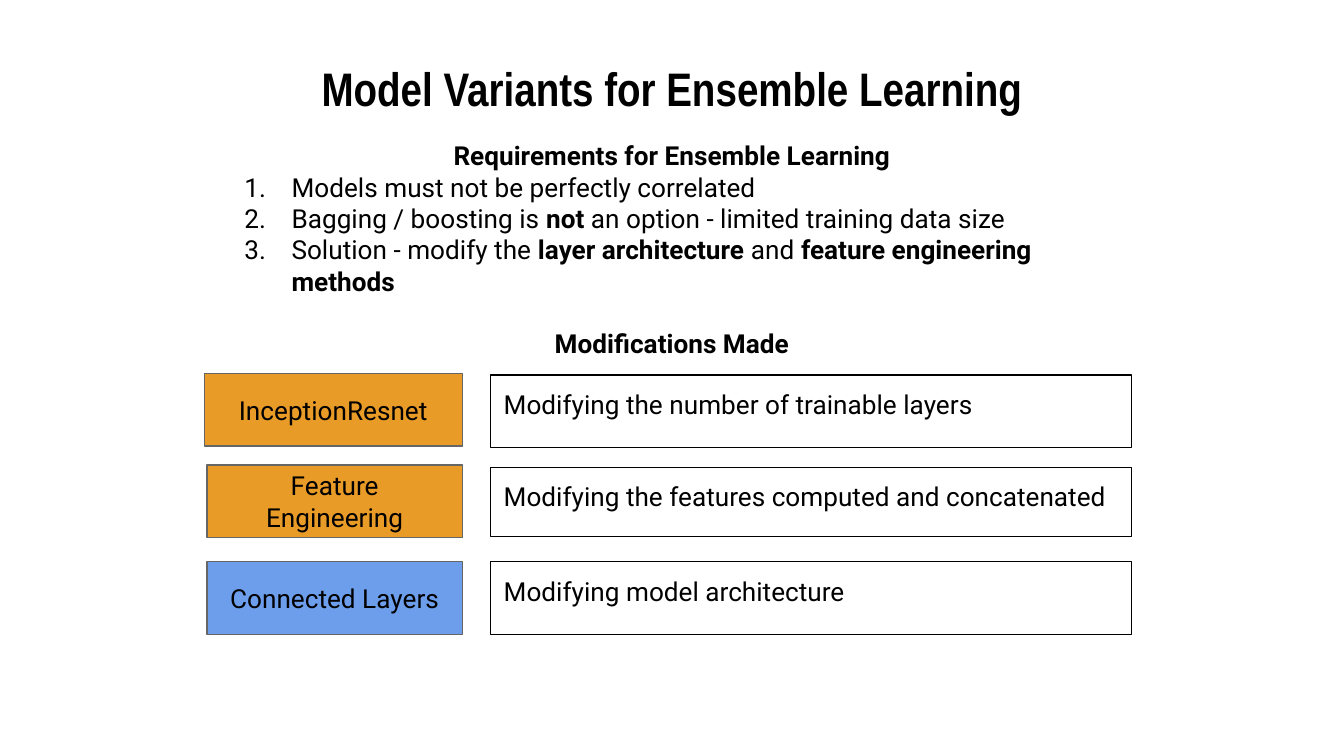
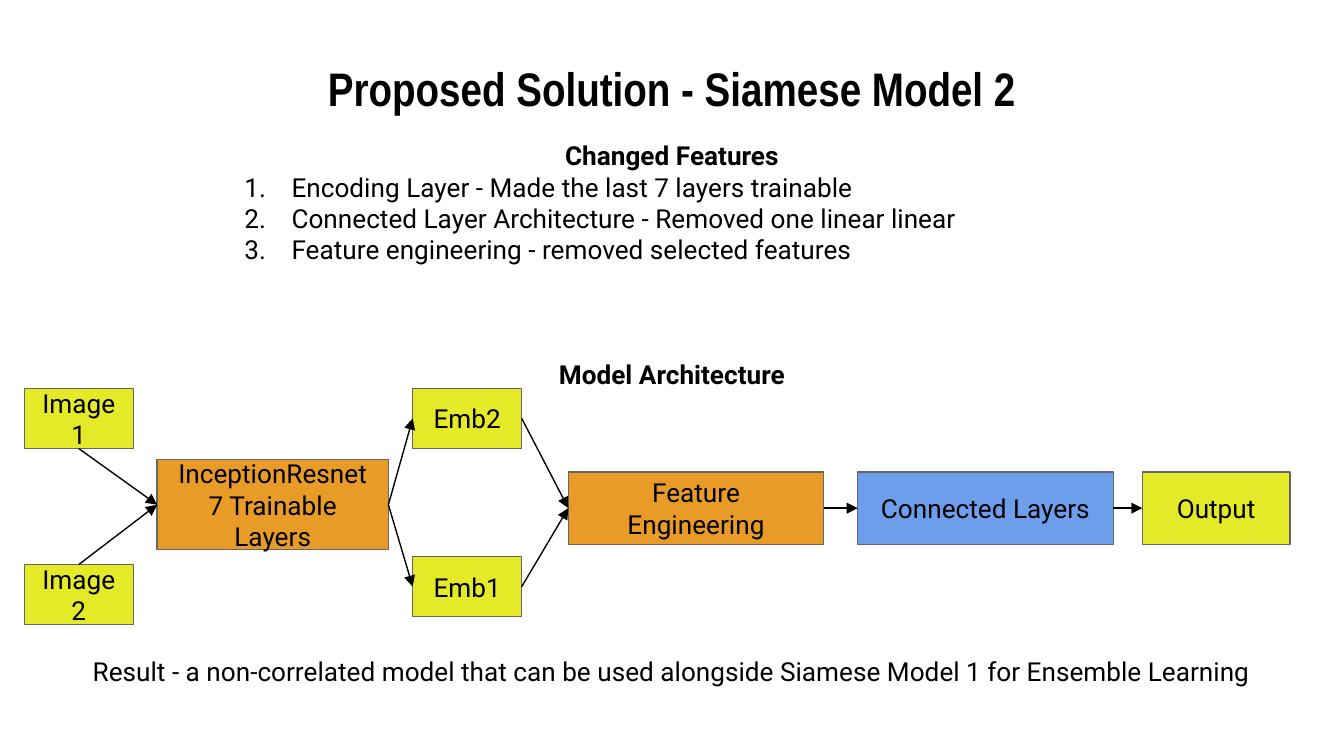
from lxml.etree import SubElement
from pptx import Presentation
from pptx.dml.color import RGBColor
from pptx.enum.shapes import MSO_CONNECTOR, MSO_SHAPE
from pptx.enum.text import MSO_ANCHOR, MSO_AUTO_SIZE, PP_ALIGN
from pptx.oxml.ns import qn
from pptx.util import Cm, Pt

# Shared style
BLACK, GREY = "000000", "666666"
ORANGE, BLUE, YELLOW = "E99B27", "6D9EEB", "E4EA27"
TITLE_FONT, TEXT_FONT = "Arial Narrow", "Roboto"
TITLE_SIZE, TEXT_SIZE = 25.2, 14
TITLE_BOX = (1.27, 1.14, 22.86, 1.04)
LIST_BOX = (3.99, 2.39, 17.42, 4.17)
TOP, LEFT, BOTTOM, RIGHT = range(4)  # connection sites of a rectangle


def color(hex_string):
    return RGBColor.from_string(hex_string)


def place(shape, box):
    shape.left, shape.top, shape.width, shape.height = map(Cm, box)


def prepare_frame(shape, anchor):
    frame = shape.text_frame
    frame.word_wrap = True
    frame.auto_size = MSO_AUTO_SIZE.NONE
    frame.vertical_anchor = anchor
    frame.margin_left = frame.margin_right = Cm(0.25)
    frame.margin_top = frame.margin_bottom = Cm(0.25)
    return frame


def style_font(paragraph, name=TEXT_FONT, size=TEXT_SIZE, bold=False):
    font = paragraph.font
    font.name, font.size, font.bold = name, Pt(size), bold
    font.color.rgb = color(BLACK)


def write_lines(shape, text, alignment, anchor):
    frame = prepare_frame(shape, anchor)
    frame.text = text
    for paragraph in frame.paragraphs:
        paragraph.alignment = alignment
        style_font(paragraph)


def add_box(slide, box, text, fill=None, line=GREY,
            alignment=PP_ALIGN.CENTER, anchor=MSO_ANCHOR.MIDDLE):
    shape = slide.shapes.add_shape(MSO_SHAPE.RECTANGLE, *map(Cm, box))
    shape.shadow.inherit = False
    if fill:
        shape.fill.solid()
        shape.fill.fore_color.rgb = color(fill)
    else:
        shape.fill.background()
    shape.line.color.rgb = color(line)
    shape.line.width = Pt(0.75)
    write_lines(shape, text, alignment, anchor)
    return shape


def add_arrow(slide, start, start_site, end, end_site):
    arrow = slide.shapes.add_connector(MSO_CONNECTOR.STRAIGHT, 0, 0, 0, 0)
    arrow.begin_connect(start, start_site)
    arrow.end_connect(end, end_site)
    arrow.line.color.rgb = color(BLACK)
    arrow.line.width = Pt(0.75)
    properties = arrow.element.spPr
    SubElement(properties.find(qn("a:ln")), qn("a:tailEnd"), type="triangle")
    SubElement(properties, qn("a:effectLst"))


def add_title(slide, text):
    title = slide.shapes.title
    place(title, TITLE_BOX)
    frame = prepare_frame(title, MSO_ANCHOR.MIDDLE)
    frame.text = text
    paragraph = frame.paragraphs[0]
    paragraph.alignment = PP_ALIGN.CENTER
    style_font(paragraph, TITLE_FONT, TITLE_SIZE, True)


def format_paragraph(paragraph, numbered, space_before=0):
    paragraph.alignment = PP_ALIGN.LEFT if numbered else PP_ALIGN.CENTER
    paragraph.space_before = Pt(space_before)
    properties = paragraph._p.get_or_add_pPr()
    properties.set("marL", str(Cm(1.27 if numbered else 0)))
    properties.set("indent", str(Cm(-0.89 if numbered else 0)))
    if numbered:
        bullet_color = SubElement(properties, qn("a:buClr"))
        SubElement(bullet_color, qn("a:srgbClr"), val=BLACK)
        SubElement(properties, qn("a:buFont"), typeface=TEXT_FONT)
        SubElement(properties, qn("a:buAutoNum"), type="arabicPeriod")
    else:
        SubElement(properties, qn("a:buNone"))
    style_font(paragraph, bold=not numbered)


def add_list(slide, heading, items, next_heading, gap):
    """Fill the body; text between ** marks is bold."""
    body = slide.placeholders[1]
    place(body, LIST_BOX)
    frame = prepare_frame(body, MSO_ANCHOR.TOP)
    frame.text = heading
    format_paragraph(frame.paragraphs[0], False)
    for item in items:
        paragraph = frame.add_paragraph()
        format_paragraph(paragraph, True)
        for index, part in enumerate(item.split("**")):
            if part:
                run = paragraph.add_run()
                run.text = part
                if index % 2:
                    run.font.bold = True
    paragraph = frame.add_paragraph()
    paragraph.text = next_heading
    format_paragraph(paragraph, False, gap)


def add_modifications(slide, left, top):
    # label, fill, label box, description, description top and height
    rows = [
        ("InceptionResnet", ORANGE, (0, 0, 4.88, 1.37),
         "Modifying the number of trainable layers", 0.03, 1.37),
        ("Feature Engineering", ORANGE, (0.05, 1.73, 4.83, 1.37),
         "Modifying the features computed and concatenated", 1.78, 1.3),
        ("Connected Layers", BLUE, (0.05, 3.56, 4.83, 1.37),
         "Modifying model architecture", 3.56, 1.37),
    ]
    for label, fill, (x, y, width, height), text, text_top, text_height in rows:
        add_box(slide, (left + x, top + y, width, height), label, fill)
        add_box(slide, (left + 5.41, top + text_top, 12.12, text_height), text,
                line=BLACK, alignment=PP_ALIGN.LEFT, anchor=MSO_ANCHOR.TOP)


def add_architecture(slide, left, top):
    def node(text, fill, x, y, width=2.06, height=1.14):
        return add_box(slide, (left + x, top + y, width, height), text, fill)

    # Stages from input to output
    first_image = node("Image 1", YELLOW, 0, 0)
    second_image = node("Image 2", YELLOW, 0, 3.33)
    encoder = node("InceptionResnet\n7 Trainable Layers", ORANGE,
                   2.51, 1.35, 4.37, 1.7)
    embeddings = [node("Emb2", YELLOW, 7.34, 0),
                  node("Emb1", YELLOW, 7.34, 3.18)]
    features = node("Feature Engineering", ORANGE, 10.28, 1.58, 4.83, 1.37)
    layers = node("Connected Layers", BLUE, 15.75, 1.58, 4.83, 1.37)
    output = node("Output", YELLOW, 21.13, 1.58, 2.79, 1.37)

    # Data flow
    add_arrow(slide, first_image, BOTTOM, encoder, LEFT)
    add_arrow(slide, second_image, TOP, encoder, LEFT)
    for embedding in embeddings:
        add_arrow(slide, encoder, RIGHT, embedding, LEFT)
        add_arrow(slide, embedding, RIGHT, features, LEFT)
    add_arrow(slide, features, RIGHT, layers, LEFT)
    add_arrow(slide, layers, RIGHT, output, LEFT)


def add_result(slide, box, text):
    result = slide.shapes.add_textbox(*map(Cm, box))
    write_lines(result, text, PP_ALIGN.CENTER, MSO_ANCHOR.TOP)


def new_slide(presentation, title):
    slide = presentation.slides.add_slide(presentation.slide_layouts[1])
    add_title(slide, title)
    return slide


def build_variants_slide(presentation):
    slide = new_slide(presentation, "Model Variants for Ensemble Learning")
    add_list(slide, "Requirements for Ensemble Learning", [
        "Models must not be perfectly correlated",
        "Bagging / boosting is **not **an option - limited training data size",
        "Solution - modify the **layer architecture **and "
        "**feature engineering methods**",
    ], "Modifications Made", 16.7)
    add_modifications(slide, 3.86, 7.06)


def build_solution_slide(presentation):
    slide = new_slide(presentation, "Proposed Solution - Siamese Model 2")
    add_list(slide, "Changed Features", [
        "Encoding Layer - Made the last 7 layers trainable",
        "Connected Layer Architecture - Removed one linear linear",
        "Feature engineering - removed selected features",
    ], "Model Architecture", 50)
    add_architecture(slide, 0.46, 7.34)
    add_result(slide, (0.86, 12.14, 23.67, 1.04),
               "Result - a non-correlated model that can be used alongside "
               "Siamese Model 1 for Ensemble Learning")


def main():
    presentation = Presentation()
    presentation.slide_width, presentation.slide_height = Cm(25.4), Cm(14.29)
    build_variants_slide(presentation)
    build_solution_slide(presentation)
    presentation.save("out.pptx")


if __name__ == "__main__":
    main()
